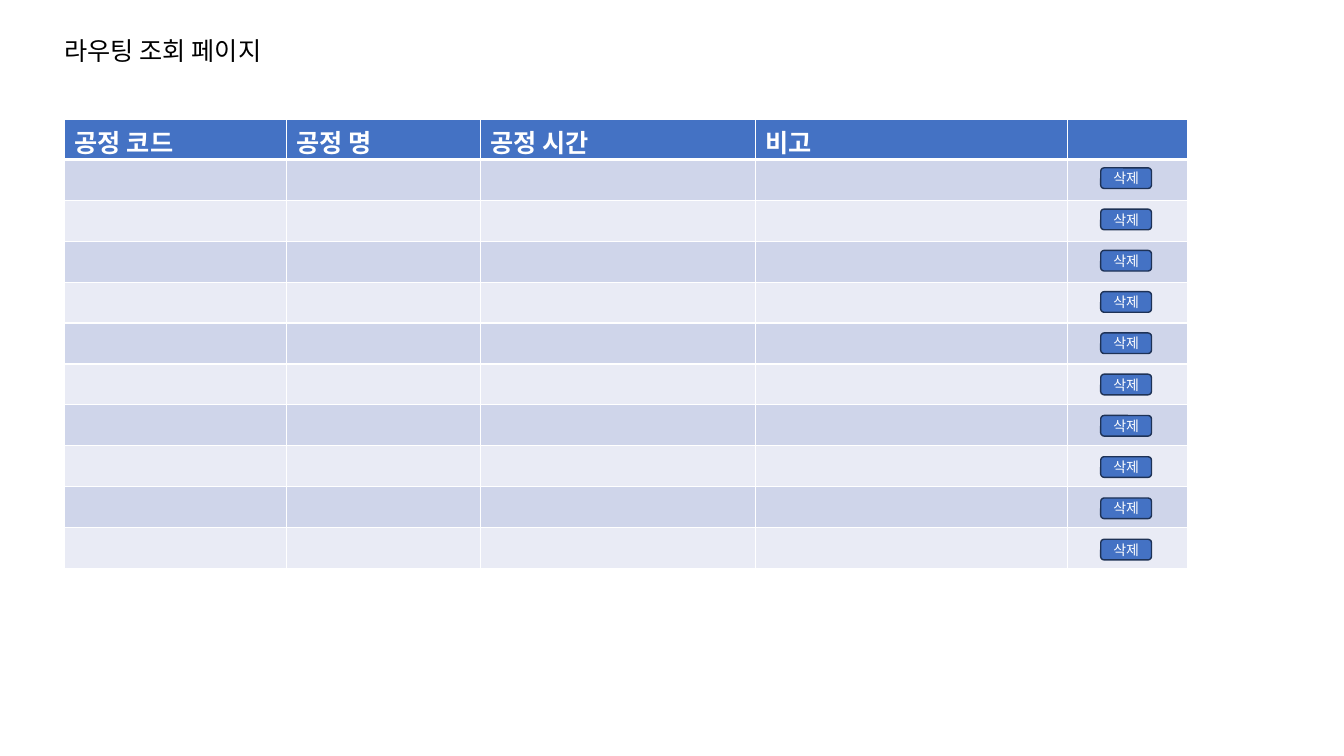
from lxml import etree
from pptx import Presentation
from pptx import util as u
from pptx.dml.color import RGBColor
from pptx.enum import shapes, text
from pptx.oxml.ns import qn

FACE = "Noto Sans CJK KR"
BLUE, WHITE = "4472C4", "FFFFFF"


def rgb(code):
    return RGBColor.from_string(code)


def style(para, size, color, bold=False):
    font = para.font
    font.size, font.bold, font.name = u.Pt(size), bold, FACE
    font.color.rgb = rgb(color)
    # Korean glyphs take the East Asian face
    props = para._p.pPr.find(qn("a:defRPr"))
    etree.SubElement(props, qn("a:ea")).set("typeface", FACE)


prs = Presentation()
prs.slide_width, prs.slide_height = u.Cm(33.87), u.Cm(19.05)
slide = prs.slides.add_slide(prs.slide_layouts[5])

# Title
title = slide.shapes.title
title.left, title.top = u.Cm(1.37), u.Cm(0.76)
title.width, title.height = u.Cm(9.83), u.Cm(1.02)
frame = title.text_frame
frame.text = "라우팅 조회 페이지"
frame.word_wrap = True
frame.auto_size = text.MSO_AUTO_SIZE.SHAPE_TO_FIT_TEXT
frame.vertical_anchor = text.MSO_ANCHOR.TOP
frame.paragraphs[0].alignment = text.PP_ALIGN.LEFT
style(frame.paragraphs[0], 18, "000000")

# Process table
heads = ["공정 코드", "공정 명", "공정 시간", "비고", ""]
widths = [5.59, 4.88, 6.93, 7.87, 3.02]
count = 10
table = slide.shapes.add_table(
    count + 1, len(heads), u.Cm(1.63), u.Cm(3),
    u.Cm(sum(widths)), u.Cm(1.02 + 1.03 * count)).table
for col, width in zip(table.columns, widths):
    col.width = u.Cm(width)

for r, row in enumerate(table.rows):
    row.height = u.Cm(1.03 if r else 1.02)
    fill = ("E9EBF5", "CFD5EA")[r % 2] if r else BLUE
    # The rule under the header is thicker
    edges = {"L": 1, "R": 1, "T": 3 if r == 1 else 1, "B": 1 if r else 3}
    for c, cell in enumerate(row.cells):
        props = cell._tc.get_or_add_tcPr()
        for side, points in edges.items():
            line = etree.SubElement(props, qn("a:ln" + side), w=str(u.Pt(points)))
            solid = etree.SubElement(line, qn("a:solidFill"))
            etree.SubElement(solid, qn("a:srgbClr"), val=WHITE)
        cell.fill.solid()
        cell.fill.fore_color.rgb = rgb(fill)
        if r == 0:
            cell.margin_top, cell.margin_bottom = u.Cm(0.1), 0
            cell.text = heads[c]
            style(cell.text_frame.paragraphs[0], 18, WHITE, True)

# Delete buttons, one for each body row
for i in range(count):
    button = slide.shapes.add_shape(
        shapes.MSO_SHAPE.ROUNDED_RECTANGLE,
        u.Cm(27.74), u.Cm(4.23 + 1.04 * i), u.Cm(1.28), u.Cm(0.52))
    button.shadow.inherit = False
    button.fill.solid()
    button.fill.fore_color.rgb = rgb(BLUE)
    button.line.color.rgb = rgb("1E3256")
    button.line.width = u.Pt(1)
    frame = button.text_frame
    frame.margin_left = frame.margin_right = 0
    frame.margin_top = frame.margin_bottom = 0
    frame.vertical_anchor = text.MSO_ANCHOR.MIDDLE
    frame.text = "삭제"
    frame.paragraphs[0].alignment = text.PP_ALIGN.CENTER
    style(frame.paragraphs[0], 10, WHITE)

prs.save("out.pptx")
